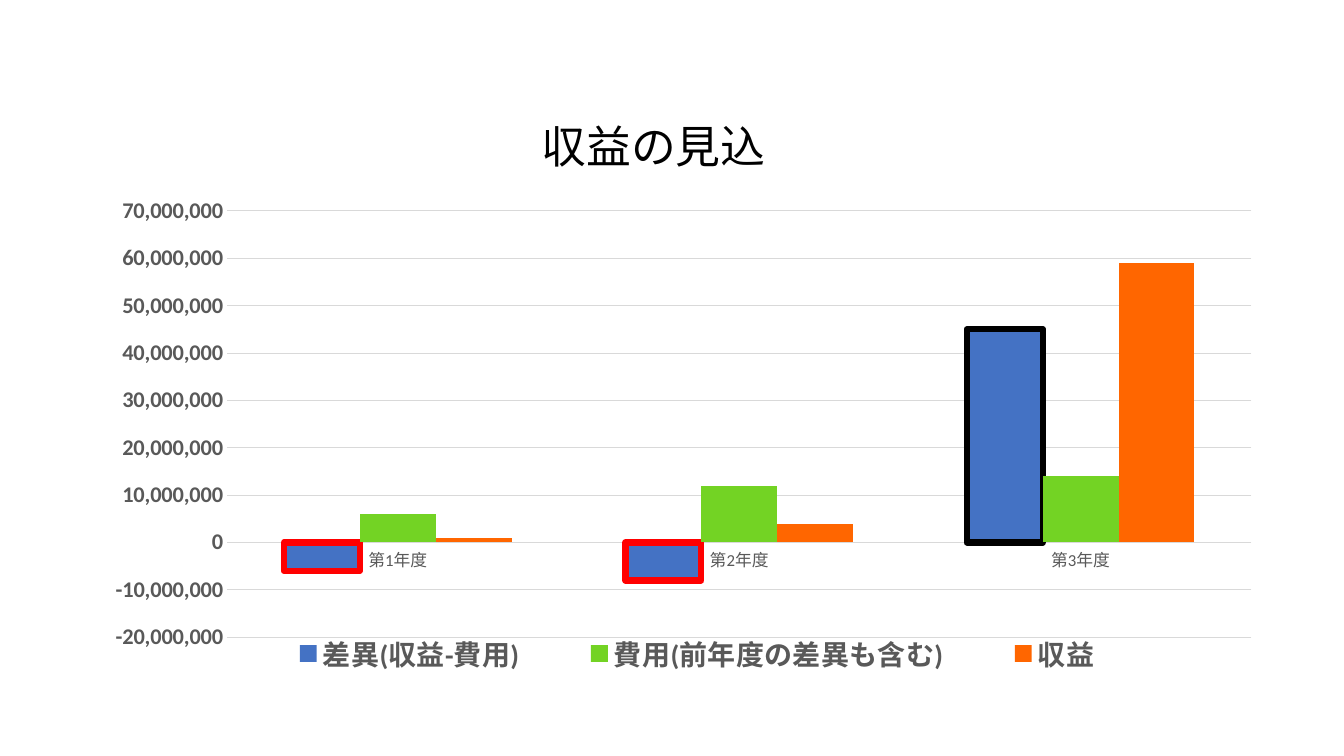
from dataclasses import dataclass

from pptx import Presentation
from pptx.chart.data import CategoryChartData
from pptx.dml.color import RGBColor
from pptx.enum.chart import XL_CHART_TYPE, XL_LEGEND_POSITION, XL_TICK_MARK
from pptx.enum.text import MSO_ANCHOR, MSO_AUTO_SIZE, PP_ALIGN
from pptx.oxml import parse_xml
from pptx.oxml.ns import nsdecls, qn
from pptx.util import Cm, Pt


@dataclass(frozen=True)
class Theme:
    font: str = "Calibri"
    title: str = "000000"
    label: str = "595959"
    grid: str = "D9D9D9"
    difference: str = "4472C4"
    cost: str = "73D324"
    revenue: str = "FF6600"
    loss: str = "FF0000"
    profit: str = "000000"
    title_size: int = 32
    legend_size: int = 20
    value_size: int = 16
    category_size: int = 12
    base_size: int = 10


theme = Theme()


def style_font(font, size, color, bold=False):
    font.name = theme.font
    font.size = Pt(size)
    font.bold = bold
    font.color.rgb = RGBColor.from_string(color)


def place_part(element, position, x, y, width, height, inner=False):
    """Give a chart part a fixed place, as fractions of the chart."""
    for old_layout in element.findall(qn("c:layout")):
        element.remove(old_layout)
    target = '<c:layoutTarget val="inner"/>' if inner else ""
    element.insert(position, parse_xml(
        f'<c:layout {nsdecls("c")}><c:manualLayout>{target}'
        '<c:xMode val="edge"/><c:yMode val="edge"/>'
        f'<c:x val="{x}"/><c:y val="{y}"/><c:w val="{width}"/><c:h val="{height}"/>'
        '</c:manualLayout></c:layout>'))


# Slide
deck = Presentation()
deck.slide_width, deck.slide_height = Cm(33.87), Cm(19.05)
slide = deck.slides.add_slide(deck.slide_layouts.get_by_name("Title Only"))

# Title
title = slide.shapes.title
title.left, title.top, title.width, title.height = Cm(13.39), Cm(2.84), Cm(6.58), Cm(1.83)
title.text_frame.text = "収益の見込"
title.text_frame.auto_size = MSO_AUTO_SIZE.NONE
title.text_frame.vertical_anchor = MSO_ANCHOR.MIDDLE
para = title.text_frame.paragraphs[0]
para.alignment = PP_ALIGN.LEFT
para.line_spacing = 0.9
style_font(para.runs[0].font, theme.title_size, theme.title)

# Chart data
series_rows = [
    ("差異(収益-費用)", (-6000000, -8000000, 45000000), theme.difference),
    ("費用(前年度の差異も含む)", (6000000, 12000000, 14000000), theme.cost),
    ("収益", (1000000, 4000000, 59000000), theme.revenue),
]
chart_data = CategoryChartData(number_format="#,##0")
chart_data.categories = [f"第{year}年度" for year in (1, 2, 3)]
for name, values, color in series_rows:
    chart_data.add_series(name, values)

# Chart
chart = slide.shapes.add_chart(
    XL_CHART_TYPE.COLUMN_CLUSTERED, Cm(1.83), Cm(2.84), Cm(29.72), Cm(14.4), chart_data).chart
chart.has_title = False
style_font(chart.font, theme.base_size, theme.title)
plot = chart.plots[0]
plot.gap_width = 150
plot.overlap = 0
plot.vary_by_categories = False
place_part(chart.element.find(".//" + qn("c:plotArea")), 0, 0.131, 0.172, 0.869, 0.746, inner=True)

# Columns
for series, (name, values, color) in zip(plot.series, series_rows):
    series.invert_if_negative = False
    series.format.fill.solid()
    series.format.fill.fore_color.rgb = RGBColor.from_string(color)

# Outlined differences: losses and profit
difference_series = plot.series[0]
for index, value in enumerate(difference_series.values):
    point_format = difference_series.points[index].format
    point_format.fill.solid()
    point_format.fill.fore_color.rgb = RGBColor.from_string(theme.difference)
    outline = theme.loss if value < 0 else theme.profit
    point_format.line.color.rgb = RGBColor.from_string(outline)
    point_format.line.width = Pt(4.5)

# Axes
category_axis, value_axis = chart.category_axis, chart.value_axis
for axis in (category_axis, value_axis):
    axis.major_tick_mark = axis.minor_tick_mark = XL_TICK_MARK.NONE
    axis.format.line.fill.background()
style_font(category_axis.tick_labels.font, theme.category_size, theme.label)
style_font(value_axis.tick_labels.font, theme.value_size, theme.label, bold=True)
value_axis.tick_labels.number_format = "#,##0"
value_axis.tick_labels.number_format_is_linked = False
value_axis.minimum_scale = -20000000
value_axis.maximum_scale = 70000000
value_axis.major_unit = 10000000
grid_line = value_axis.major_gridlines.format.line
grid_line.color.rgb = RGBColor.from_string(theme.grid)
grid_line.width = Pt(0.75)

# Legend
chart.has_legend = True
legend = chart.legend
legend.position = XL_LEGEND_POSITION.BOTTOM
legend.include_in_layout = False
style_font(legend.font, theme.legend_size, theme.label, bold=True)
place_part(chart.element.find(".//" + qn("c:legend")), 1, 0.14, 0.91, 0.78, 0.08)

deck.save("out.pptx")
